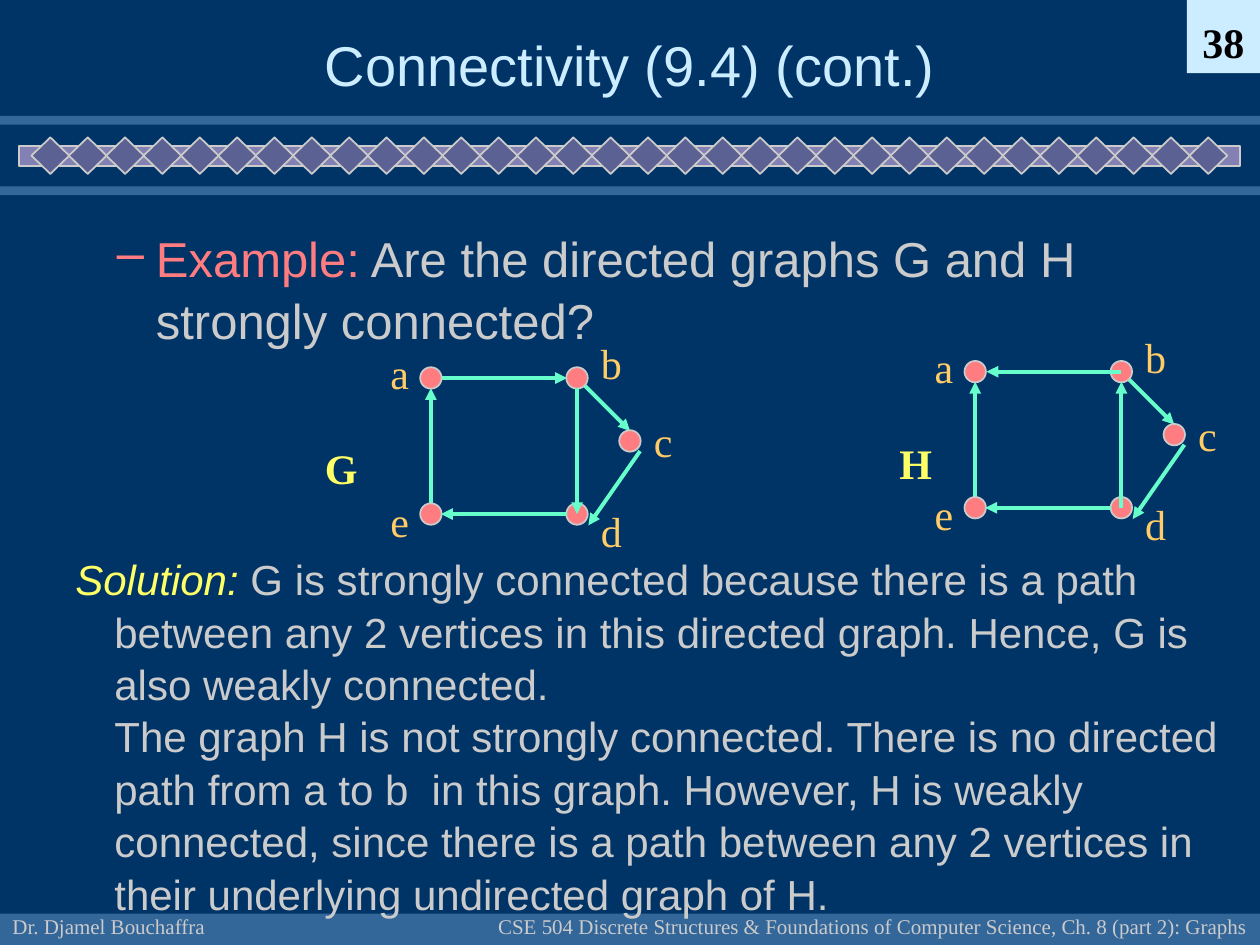
from dataclasses import dataclass

from lxml import etree
from pptx import Presentation
from pptx import util as u
from pptx.dml import color
from pptx.enum import shapes, text
from pptx.oxml import ns


@dataclass(frozen=True)
class Theme:
    background: str = "003366"
    band: str = "336699"
    ribbon: str = "8381B3"
    diamond: str = "5B6192"
    outline: str = "CBCBCB"
    body: str = "CBCBCB"
    title: str = "CCECFF"
    number: str = "000000"
    accent: str = "FF7C80"
    edge: str = "66FFCC"
    vertex_label: str = "FFCC66"
    highlight: str = "FFFF66"
    sans: str = "Arial"
    serif: str = "Times New Roman"
    title_size: int = 32
    question_size: int = 28
    text_size: int = 24
    footer_size: int = 12
    outline_width: float = 1
    edge_width: float = 2.25
    line_spacing: float = 1.04


class SlideBuilder:
    def __init__(self, slide, theme):
        self.slide = slide
        self.theme = theme
        slide.background.fill.solid()
        slide.background.fill.fore_color.rgb = self.rgb(theme.background)

    def rgb(self, value):
        return color.RGBColor.from_string(value)

    def shape(self, kind, left, top, width, height, fill, outlined=False):
        shape = self.slide.shapes.add_shape(
            kind, u.Inches(left), u.Inches(top), u.Inches(width), u.Inches(height))
        shape.shadow.inherit = False
        shape.fill.solid()
        shape.fill.fore_color.rgb = self.rgb(fill)
        if outlined:
            shape.line.color.rgb = self.rgb(self.theme.outline)
            shape.line.width = u.Pt(self.theme.outline_width)
        else:
            shape.line.fill.background()
        return shape

    def fill_text(self, shape, parts, size, font, align=text.PP_ALIGN.LEFT,
                  anchor=text.MSO_ANCHOR.TOP, wrap=False, bold=False):
        frame = shape.text_frame
        frame.word_wrap = wrap
        frame.vertical_anchor = anchor
        paragraph = frame.paragraphs[0]
        paragraph.alignment = align
        for content, fill, italic in parts:
            for index, line in enumerate(content.split("\n")):
                if index:
                    paragraph.add_line_break()
                run = paragraph.add_run()
                run.text = line
                run.font.size = u.Pt(size)
                run.font.name = font
                run.font.bold = bold
                run.font.italic = italic
                run.font.color.rgb = self.rgb(fill)
        return paragraph

    def text_box(self, left, top, width, height, parts, size, font, **options):
        box = self.slide.shapes.add_textbox(
            u.Inches(left), u.Inches(top), u.Inches(width), u.Inches(height))
        return self.fill_text(box, parts, size, font, **options)

    def hanging_text(self, left, top, width, height, parts, size, bullet=None):
        paragraph = self.text_box(left, top, width, height, parts, size,
                                  self.theme.sans, wrap=True)
        paragraph.line_spacing = self.theme.line_spacing
        properties = paragraph._p.get_or_add_pPr()
        properties.set("marL", str(u.Inches(0.81)))
        properties.set("indent", str(u.Inches(-0.31)))
        if bullet:
            bullet_color = etree.SubElement(properties, ns.qn("a:buClr"))
            etree.SubElement(bullet_color, ns.qn("a:srgbClr"), val=self.theme.accent)
            etree.SubElement(properties, ns.qn("a:buChar"), char=bullet)

    def arrow(self, start, end):
        connector = self.slide.shapes.add_connector(
            shapes.MSO_CONNECTOR.STRAIGHT, *map(u.Inches, (*start, *end)))
        connector.line.color.rgb = self.rgb(self.theme.edge)
        connector.line.width = u.Pt(self.theme.edge_width)
        etree.SubElement(connector.line._get_or_add_ln(), ns.qn("a:tailEnd"),
                         type="triangle")
        etree.SubElement(connector._element.spPr, ns.qn("a:effectLst"))

    def graph(self, name, name_at, offset, edges_behind, edges_in_front):
        def place(x, y):
            return x + offset[0], y + offset[1]

        for start, end in edges_behind:
            self.arrow(place(*start), place(*end))
        diameter = 0.17
        for x, y in VERTICES:
            left, top = place(x - diameter / 2, y - diameter / 2)
            self.shape(shapes.MSO_SHAPE.OVAL, left, top, diameter, diameter,
                       self.theme.accent, outlined=True)
        for start, end in edges_in_front:
            self.arrow(place(*start), place(*end))
        for letter, position in LABELS.items():
            self.text_box(*place(*position), 0.35, 0.5,
                          [(letter, self.theme.vertex_label, False)],
                          self.theme.text_size, self.theme.serif)
        self.text_box(*name_at, 0.46, 0.5, [(name, self.theme.highlight, False)],
                      self.theme.text_size, self.theme.serif, bold=True)


VERTICES = [(3.42, 3), (4.58, 3), (5, 3.5), (4.58, 4.08), (3.42, 4.08)]
LABELS = {"a": (3, 2.71), "b": (4.67, 2.63), "c": (5.09, 3.25),
          "d": (4.67, 3.96), "e": (3, 3.88)}
E_TO_A = ((3.42, 4.17), (3.42, 3.08))
A_TO_B = ((3.42, 3), (4.5, 3))
B_TO_A = ((4.58, 3), (3.51, 3))
B_TO_C = ((4.58, 3), (5, 3.42))
B_TO_D = ((4.58, 3.08), (4.58, 4.08))
D_TO_B = ((4.58, 4.08), (4.58, 3.08))
D_TO_E = ((4.5, 4.08), (3.5, 4.08))
C_TO_D = ((5.08, 3.58), (4.67, 4.17))


def main():
    presentation = Presentation()
    presentation.slide_width = u.Inches(10)
    presentation.slide_height = u.Inches(7.5)
    theme = Theme()
    builder = SlideBuilder(
        presentation.slides.add_slide(presentation.slide_layouts[6]), theme)
    rectangle = shapes.MSO_SHAPE.RECTANGLE
    bottom = text.MSO_ANCHOR.BOTTOM
    center = text.PP_ALIGN.CENTER

    for top, height in [(7.25, 0.25), (0.92, 0.07), (1.48, 0.07)]:
        builder.shape(rectangle, 0, top, 10, height, theme.band)
    builder.shape(rectangle, 0.15, 1.16, 9.69, 0.16, theme.ribbon, outlined=True)
    diamond_count = 32
    pitch = (9.44 - 0.25) / (diamond_count - 1)
    for index in range(diamond_count):
        builder.shape(shapes.MSO_SHAPE.DIAMOND, 0.25 + index * pitch, 1.09,
                      0.3, 0.29, theme.diamond, outlined=True)

    builder.text_box(0, 7, 2.08, 0.5, [("Dr. Djamel Bouchaffra", theme.body, False)],
                     theme.footer_size, theme.serif, anchor=bottom)
    course = ("CSE 504 Discrete Structures & Foundations of Computer Science, "
              "Ch. 8 (part 2): Graphs")
    builder.text_box(3.83, 7, 6.17, 0.5, [(course, theme.body, False)],
                     theme.footer_size, theme.serif,
                     align=text.PP_ALIGN.RIGHT, anchor=bottom)
    page_number = builder.shape(rectangle, 9.42, 0, 0.58, 0.58, theme.title)
    builder.fill_text(page_number, [("38", theme.number, False)], theme.text_size,
                      theme.serif, align=center, anchor=bottom, bold=True)

    builder.text_box(0.75, 0.17, 8.5, 0.67,
                     [("Connectivity (9.4) (cont.)", theme.title, False)],
                     theme.title_size, theme.sans, align=center,
                     anchor=text.MSO_ANCHOR.MIDDLE, wrap=True)
    builder.hanging_text(
        0.33, 1.75, 9.67, 1.17,
        [("Example:", theme.accent, False),
         (" Are the directed graphs G and H strongly connected?", theme.body, False)],
        theme.question_size, bullet="–")
    solution = (
        " G is strongly connected because there is a path between any 2 vertices "
        "in this directed graph. Hence, G is also weakly connected.\n"
        "The graph H is not strongly connected. There is no directed path from "
        "a to b  in this graph. However, H is weakly connected, since there is "
        "a path between any 2 vertices in their underlying undirected graph of H.")
    builder.hanging_text(
        0, 4.33, 10, 2.92,
        [("Solution:", theme.highlight, True), (solution, theme.body, False)],
        theme.text_size)

    builder.graph("G", (2.48, 3.46), (0, 0),
                  [E_TO_A, A_TO_B, B_TO_C], [B_TO_D, D_TO_E, C_TO_D])
    builder.graph("H", (7.04, 3.42), (4.32, -0.05),
                  [E_TO_A, B_TO_C], [D_TO_B, D_TO_E, C_TO_D, B_TO_A])

    presentation.save("out.pptx")


if __name__ == "__main__":
    main()
